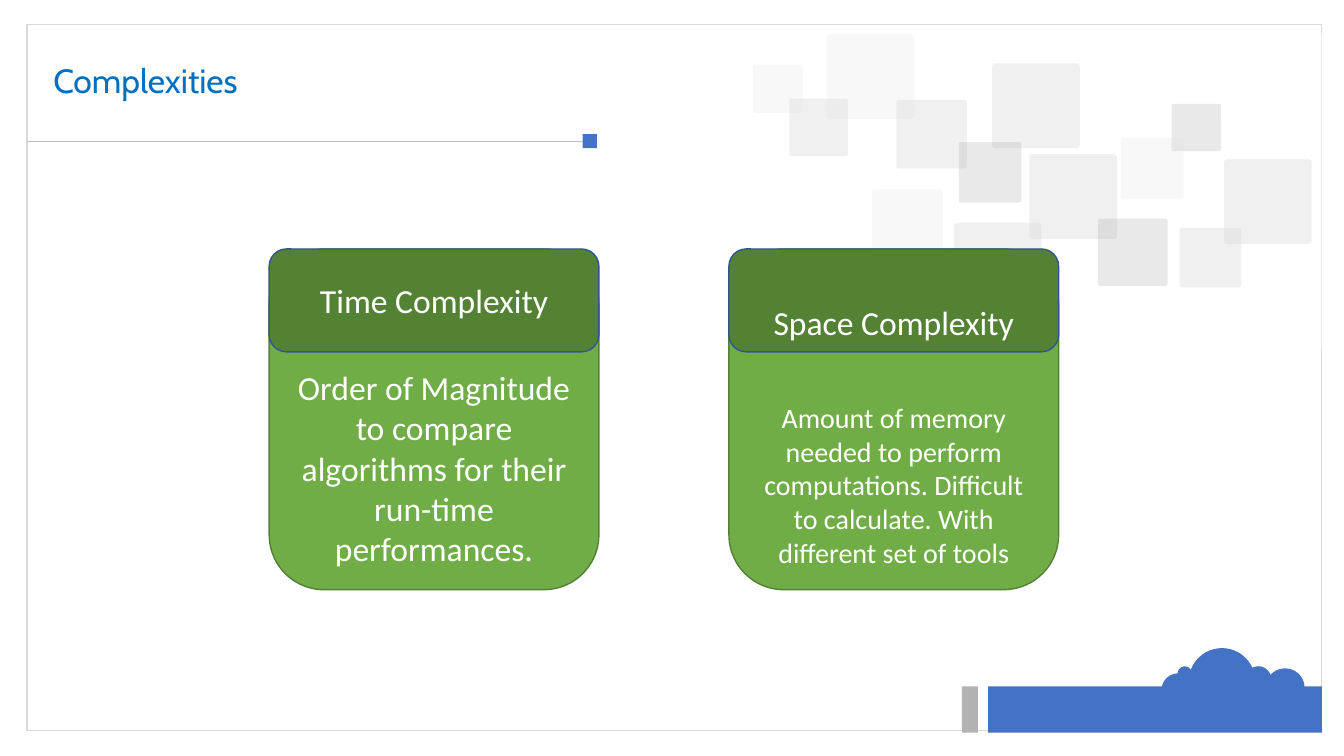
from pptx import Presentation
from pptx.dml.color import RGBColor
from pptx.enum.shapes import MSO_CONNECTOR, MSO_SHAPE
from pptx.enum.text import MSO_ANCHOR, PP_ALIGN
from pptx.oxml.ns import qn
from pptx.util import Inches, Pt
from lxml import etree

RECTANGLE, ROUNDED, OVAL = MSO_SHAPE.RECTANGLE, MSO_SHAPE.ROUNDED_RECTANGLE, MSO_SHAPE.OVAL
STRAIGHT = MSO_CONNECTOR.STRAIGHT
MIDDLE, BOTTOM = MSO_ANCHOR.MIDDLE, MSO_ANCHOR.BOTTOM
LEFT, CENTER = PP_ALIGN.LEFT, PP_ALIGN.CENTER

CELL = 0.1  # inches per grid column and row
COLUMNS, ROWS = 133.3, 75
BLUE, GRAY, BLACK, WHITE = "4472C4", "B2B2B2", "000000", "FFFFFF"


def color(value):
    return RGBColor.from_string(value)


def grid(*cells):
    return [Inches(cell * CELL) for cell in cells]


def write(shape, text, size=24, font="Calibri", ink=WHITE, align=CENTER,
          anchor=MIDDLE, spacing=1.0):
    frame = shape.text_frame
    frame.word_wrap = True
    frame.vertical_anchor = anchor
    para = frame.paragraphs[0]
    para.alignment = align
    para.line_spacing = spacing
    span = para.add_run()
    span.text = text
    span.font.size = Pt(size)
    span.font.name = font
    span.font.color.rgb = color(ink)


class Page:
    def __init__(self, deck):
        self.shapes = deck.slides.add_slide(deck.slide_layouts[6]).shapes

    def shape(self, kind, left, top, width, height, fill=None, alpha=100,
              line=None, corner=None):
        shape = self.shapes.add_shape(kind, *grid(left, top, width, height))
        shape.shadow.inherit = False
        if corner is not None:
            shape.adjustments[0] = corner
        if fill:
            shape.fill.solid()
            shape.fill.fore_color.rgb = color(fill)
            if alpha < 100:
                tint = shape.fill._xPr.find(".//" + qn("a:srgbClr"))
                etree.SubElement(tint, qn("a:alpha"), val=str(alpha * 1000))
        else:
            shape.fill.background()
        if line:
            shape.line.color.rgb = color(line)
            shape.line.width = Pt(1)
        else:
            shape.line.fill.background()
        return shape

    def rule(self, left, top, right, line):
        rule = self.shapes.add_connector(STRAIGHT, *grid(left, top, right, top))
        rule.line.color.rgb = color(line)
        rule.line.width = Pt(0.5)
        etree.SubElement(rule._element.spPr, qn("a:effectLst"))

    def text(self, left, top, width, height, text, **style):
        box = self.shapes.add_textbox(*grid(left, top, width, height))
        write(box, text, **style)

    def card(self, left, heading, body, anchor, size):
        top, width = 24.7, 32.7
        panel = self.shape(ROUNDED, left, top, width, 33.8, "70AD47", line="538035")
        write(panel, body, size=size, anchor=BOTTOM)
        header = self.shape(ROUNDED, left, top, width, 10.2, "548235", line="325491")
        write(header, heading, anchor=anchor)


# Tiles: left, top, width, height, fill, opacity
TILES = [
    (82, 3.4, 8.7, 8.4, GRAY, 16), (98.4, 6.3, 8.7, 8.4, GRAY, 36),
    (94.6, 22.1, 8.7, 8.4, GRAY, 36), (102.1, 15.3, 8.7, 8.4, GRAY, 36),
    (88.9, 9.9, 7, 6.8, GRAY, 36), (86.5, 18.8, 7, 6.8, GRAY, 16),
    (95.1, 14.1, 6.2, 6, BLACK, 16), (116.2, 10.3, 4.9, 4.7, BLACK, 16),
    (111.2, 13.7, 6.2, 6, GRAY, 16), (108.9, 21.7, 6.9, 6.7, BLACK, 16),
    (78.3, 9.8, 5.8, 5.7, GRAY, 35), (74.7, 6.4, 4.9, 4.8, GRAY, 16),
    (121.4, 15.8, 8.7, 8.4, GRAY, 36), (117, 22.6, 6.1, 5.9, GRAY, 36),
]
# Cloud puffs: left, top, diameter
PUFFS = [(117.9, 64.3, 6.6), (115.2, 66.8, 3.3), (123.5, 66.1, 2.6),
         (125.5, 66.3, 3.9), (116.8, 66.1, 1.4)]
# Cards: left, heading, body, heading anchor, body size
CARDS = [
    (26.7, "Time Complexity",
     "Order of Magnitude to compare algorithms for their run-time performances.",
     MIDDLE, 24),
    (72.3, "Space Complexity",
     "Amount of memory needed to perform computations. Difficult to calculate. "
     "With different set of tools", BOTTOM, 20),
]


def main():
    deck = Presentation()
    deck.slide_width, deck.slide_height = grid(COLUMNS, ROWS)
    page = Page(deck)

    # Frame, footer bars and title rule
    page.shape(RECTANGLE, 2.7, 2.4, 128.4, 70.1, line="D9D9D9")
    page.shape(RECTANGLE, 98, 68.1, 33.1, 4.6, BLUE)
    page.shape(RECTANGLE, 95.4, 68.1, 1.6, 4.6, GRAY)
    page.rule(2.7, 14, 57.8, "BFBFBF")
    page.shape(RECTANGLE, 57.8, 13.3, 1.4, 1.4, BLUE)

    # Scattered tiles under a pale veil
    for *place, fill, alpha in TILES:
        page.shape(ROUNDED, *place, fill, alpha, corner=0.038)
    page.shape(RECTANGLE, 71.2, 3.3, 59.9, 31.4, WHITE, 48)

    # Cloud
    for left, top, diameter in PUFFS:
        page.shape(OVAL, left, top, diameter, diameter, BLUE)

    # Title and cards
    page.text(4.3, 4, 124.5, 8.4, "Complexities", font="Cabin", ink="0070C0",
              align=LEFT, spacing=0.9)
    for card in CARDS:
        page.card(*card)

    deck.save("out.pptx")


if __name__ == "__main__":
    main()
